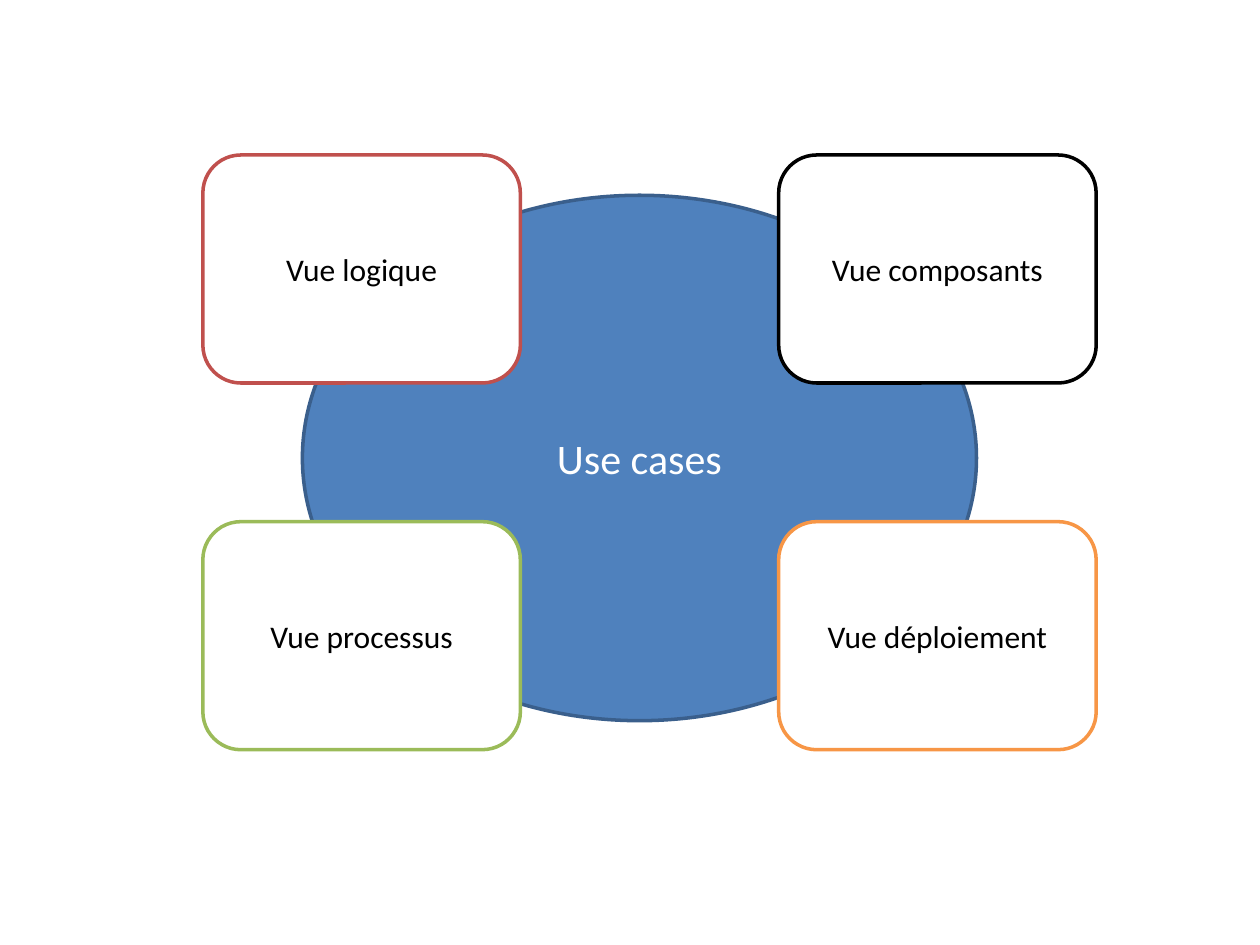
"""Build a slide of four views placed around the central use cases."""
import pptx
import pptx.dml.color
import pptx.enum.shapes
import pptx.enum.text
import pptx.util

KIND = pptx.enum.shapes.MSO_SHAPE
HUB = "Use cases"
VIEWS = [
    ("Vue logique", 0, 0, "C0504D"),
    ("Vue processus", 0, 1, "9BBB59"),
    ("Vue déploiement", 1, 1, "F79646"),
    ("Vue composants", 1, 0, "000000"),
]
LEFT, TOP = 1.61, 1.23
WIDE, HIGH = 2.52, 1.81
STEP_X, STEP_Y = 4.57, 2.91


def color(code):
    return pptx.dml.color.RGBColor.from_string(code)


def add_node(slide, kind, box, text, size, fill, line, ink):
    node = slide.shapes.add_shape(kind, *map(pptx.util.Inches, box))
    node.shadow.inherit = False
    node.fill.solid()
    node.fill.fore_color.rgb = color(fill)
    node.line.color.rgb = color(line)
    node.line.width = pptx.util.Pt(2)
    frame = node.text_frame
    frame.text = text
    frame.word_wrap = True
    frame.vertical_anchor = pptx.enum.text.MSO_ANCHOR.MIDDLE
    para = frame.paragraphs[0]
    para.alignment = pptx.enum.text.PP_ALIGN.CENTER
    para.font.name = "Calibri"
    para.font.size = pptx.util.Pt(size)
    para.font.color.rgb = color(ink)


def main():
    deck = pptx.Presentation()
    deck.slide_width = pptx.util.Inches(10)
    deck.slide_height = pptx.util.Inches(7.5)
    slide = deck.slides.add_slide(deck.slide_layouts[6])
    add_node(slide, KIND.OVAL, (2.4, 1.55, 5.35, 4.17), HUB, 24,
             "4F81BD", "3A5F8C", "FFFFFF")
    for text, col, row, line in VIEWS:
        box = (LEFT + col * STEP_X, TOP + row * STEP_Y, WIDE, HIGH)
        add_node(slide, KIND.ROUNDED_RECTANGLE, box, text, 18,
                 "FFFFFF", line, "000000")
    deck.save("out.pptx")


if __name__ == "__main__":
    main()
